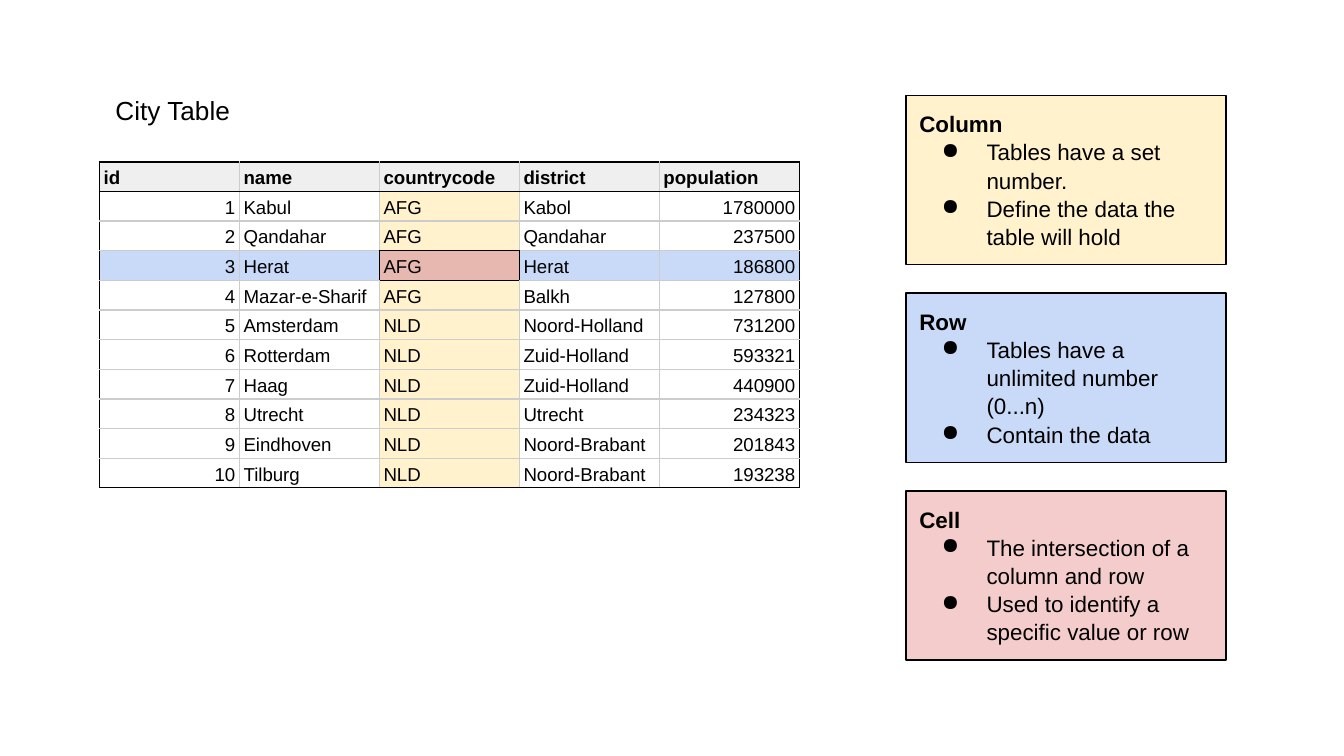
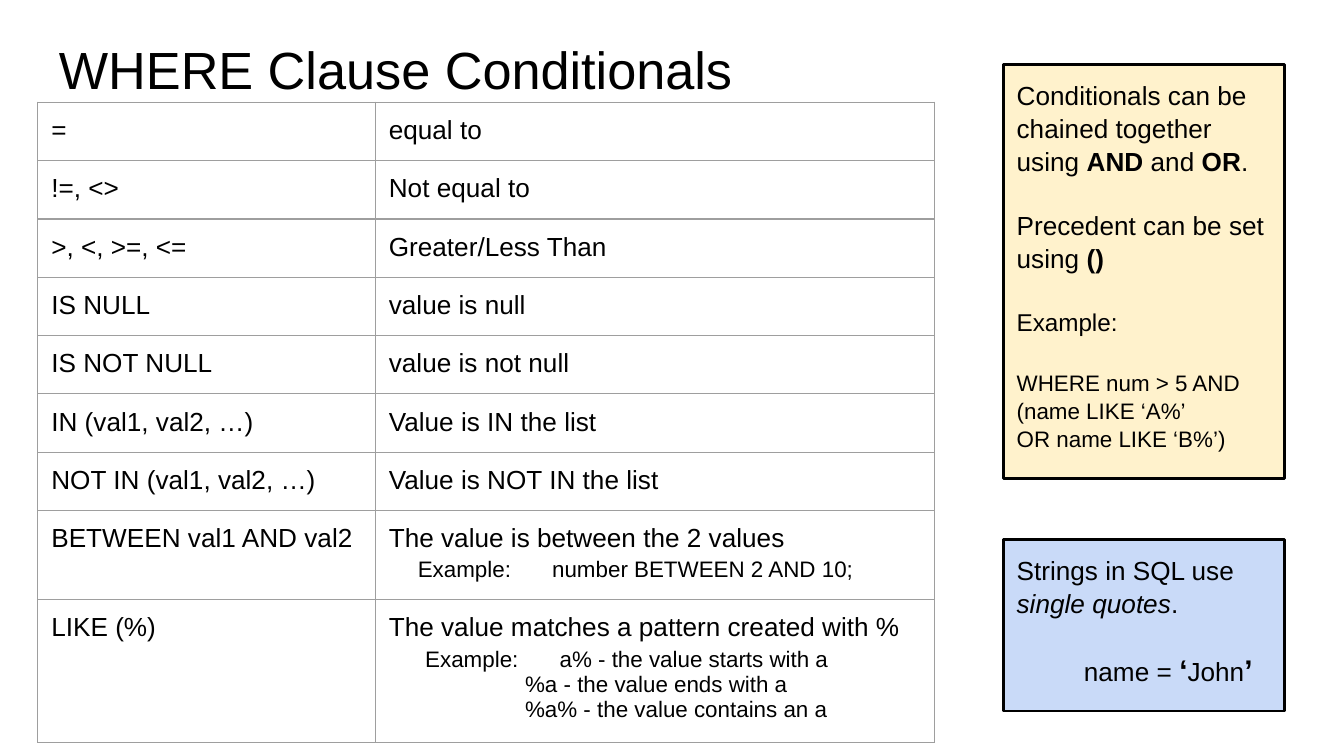
import pptx
import pptx.dml.color
import pptx.enum.shapes
import pptx.enum.text
import pptx.oxml.ns
import pptx.util
import lxml.etree

Pt = pptx.util.Pt
RGB = pptx.dml.color.RGBColor
ALIGN = pptx.enum.text.PP_ALIGN
ANCHOR = pptx.enum.text.MSO_ANCHOR

BLACK = RGB(0x00, 0x00, 0x00)
HEADER_GRAY = RGB(0xEF, 0xEF, 0xEF)
GRID_GRAY = RGB(0xCC, 0xCC, 0xCC)
RULE_GRAY = RGB(0x9E, 0x9E, 0x9E)
YELLOW = RGB(0xFF, 0xF2, 0xCC)
BLUE = RGB(0xC9, 0xDA, 0xF8)
PINK = RGB(0xF4, 0xCC, 0xCC)
ROSE = RGB(0xE6, 0xB8, 0xAF)
FONT = "Arial"
INSET = 7.2
CARD_SPACING = 1.05
BLANK_LINE = 16.9

CITIES = [
    ("id", "name", "countrycode", "district", "population"),
    (1, "Kabul", "AFG", "Kabol", 1780000),
    (2, "Qandahar", "AFG", "Qandahar", 237500),
    (3, "Herat", "AFG", "Herat", 186800),
    (4, "Mazar-e-Sharif", "AFG", "Balkh", 127800),
    (5, "Amsterdam", "NLD", "Noord-Holland", 731200),
    (6, "Rotterdam", "NLD", "Zuid-Holland", 593321),
    (7, "Haag", "NLD", "Zuid-Holland", 440900),
    (8, "Utrecht", "NLD", "Utrecht", 234323),
    (9, "Eindhoven", "NLD", "Noord-Brabant", 201843),
    (10, "Tilburg", "NLD", "Noord-Brabant", 193238),
]
MARKED_ROW, MARKED_COLUMN = 3, 2

TERMS = [
    ("Column", YELLOW, ["Tables have a set number.", "Define the data the table will hold"]),
    ("Row", BLUE, ["Tables have a unlimited number (0...n)", "Contain the data"]),
    ("Cell", PINK, ["The intersection of a column and row",
                    "Used to identify a specific value or row"]),
]

CONDITIONALS = [
    ("=", "equal to", []),
    ("!=, <>", "Not equal to", []),
    (">, <, >=, <=", "Greater/Less Than", []),
    ("IS NULL", "value is null", []),
    ("IS NOT NULL", "value is not null", []),
    ("IN (val1, val2, …)", "Value is IN the list", []),
    ("NOT IN (val1, val2, …)", "Value is NOT IN the list", []),
    ("BETWEEN val1 AND val2", "The value is between the 2 values",
     [(15.5, "Example:\tnumber BETWEEN 2 AND 10;")]),
    ("LIKE (%)", "The value matches a pattern created with %",
     [(19.5, "Example:\ta% - the value starts with a"),
      (73, "%a - the value ends with a"),
      (73, "%a% - the value contains an a")]),
]
CONDITIONAL_HEIGHTS = [30.2] * 7 + [45.5, 73]
EXAMPLE_TAB = 73

CHAINING = [
    {"runs": [("Conditionals can be chained together using ", 14, ""), ("AND ", 14, "b"),
              ("and ", 14, ""), ("OR", 14, "b"), (".", 14, "")]},
    {"runs": [("Precedent can be set using ", 14, ""), ("()", 14, "b")], "before": BLANK_LINE},
    {"runs": [("Example:", 13, "")], "before": BLANK_LINE},
    {"runs": [("WHERE num > 5 AND (name LIKE ‘A%’", 12, "")], "before": BLANK_LINE},
    {"runs": [("OR name LIKE ‘B%’)", 12, "")]},
]
QUOTING = [
    {"runs": [("Strings in SQL use ", 14, ""), ("single quotes", 14, "i"), (".", 14, "")]},
    {"runs": [("name = ", 14, ""), ("‘", 16, "b"), ("John", 14, ""), ("’", 16, "b")],
     "before": BLANK_LINE, "indent": 36},
]


def add_child(parent, tag, **attributes):
    child = lxml.etree.SubElement(parent, pptx.oxml.ns.qn(tag))
    for key, value in attributes.items():
        child.set(key, str(value))
    return child


def write(frame, paragraphs, spacing=1.0):
    frame.word_wrap = True
    for index, content in enumerate(paragraphs):
        paragraph = frame.paragraphs[0] if index == 0 else frame.add_paragraph()
        properties = paragraph._p.get_or_add_pPr()
        properties.set("marL", str(Pt(content.get("margin", 0))))
        properties.set("indent", str(Pt(content.get("indent", 0))))
        if content.get("bullet"):
            color = add_child(properties, "a:buClr")
            add_child(color, "a:srgbClr", val=BLACK)
            add_child(properties, "a:buChar", char="●")
        if "tab" in content:
            stops = add_child(properties, "a:tabLst")
            add_child(stops, "a:tab", pos=Pt(content["tab"]), algn="l")
        paragraph.alignment = content.get("align", ALIGN.LEFT)
        paragraph.line_spacing = spacing
        paragraph.space_before = Pt(content.get("before", 0))
        for text, size, style in content["runs"]:
            run = paragraph.add_run()
            run.text = text
            run.font.name = FONT
            run.font.size = Pt(size)
            run.font.bold = "b" in style
            run.font.italic = "i" in style
            run.font.color.rgb = BLACK


def set_insets(holder, across=INSET, down=INSET):
    holder.margin_left = holder.margin_right = Pt(across)
    holder.margin_top = holder.margin_bottom = Pt(down)


def add_title(slide, text, size, left, top, width, height):
    frame = slide.shapes.add_textbox(Pt(left), Pt(top), Pt(width), Pt(height)).text_frame
    set_insets(frame)
    write(frame, [{"runs": [(text, size, "")]}], CARD_SPACING)


def add_card(slide, left, top, width, height, fill, line_width, paragraphs):
    card = slide.shapes.add_shape(pptx.enum.shapes.MSO_SHAPE.RECTANGLE,
                                  Pt(left), Pt(top), Pt(width), Pt(height))
    card.shadow.inherit = False
    card.fill.solid()
    card.fill.fore_color.rgb = fill
    card.line.color.rgb = BLACK
    card.line.width = Pt(line_width)
    card.text_frame.vertical_anchor = ANCHOR.TOP
    set_insets(card.text_frame)
    write(card.text_frame, paragraphs, CARD_SPACING)


def add_grid(slide, left, top, widths, heights):
    grid = slide.shapes.add_table(len(heights), len(widths), Pt(left), Pt(top),
                                  Pt(sum(widths)), Pt(sum(heights))).table
    grid.first_row = grid.horz_banding = False
    for column, width in zip(grid.columns, widths):
        column.width = Pt(width)
    for row, height in zip(grid.rows, heights):
        row.height = Pt(height)
    return grid


def style_cell(cell, fill, line_width, edges):
    properties = cell._tc.get_or_add_tcPr()
    for side, color in zip("LRTB", edges):
        line = add_child(properties, f"a:ln{side}", w=Pt(line_width))
        add_child(add_child(line, "a:solidFill"), "a:srgbClr", val=color)
    if fill is None:
        cell.fill.background()
    else:
        cell.fill.solid()
        cell.fill.fore_color.rgb = fill


def city_fill(row, column):
    if row == 0:
        return HEADER_GRAY
    if row == MARKED_ROW:
        return ROSE if column == MARKED_COLUMN else BLUE
    return YELLOW if column == MARKED_COLUMN else None


def city_edges(row, column):
    def upright(x):
        marked = row == MARKED_ROW and x in (MARKED_COLUMN, MARKED_COLUMN + 1)
        return BLACK if marked or x in (0, len(CITIES[0])) else GRID_GRAY

    def level(y):
        marked = column == MARKED_COLUMN and y in (MARKED_ROW, MARKED_ROW + 1)
        return BLACK if marked or y in (0, 1, len(CITIES)) else GRID_GRAY

    return upright(column), upright(column + 1), level(row), level(row + 1)


def build_city_slide(slide):
    cities = add_grid(slide, 53.3, 86.7, [75] * 5, [15.9] * len(CITIES))
    for row, values in enumerate(CITIES):
        for column, value in enumerate(values):
            cell = cities.cell(row, column)
            style_cell(cell, city_fill(row, column), 0.83, city_edges(row, column))
            set_insets(cell, 2.25, 1.5)
            cell.vertical_anchor = ANCHOR.BOTTOM
            align = ALIGN.RIGHT if isinstance(value, int) else ALIGN.LEFT
            style = "b" if row == 0 else ""
            write(cell.text_frame, [{"runs": [(str(value), 10, style)], "align": align}], 1.15)
    for index, (term, fill, facts) in enumerate(TERMS):
        paragraphs = [{"runs": [(term, 12, "b")]}]
        paragraphs += [{"runs": [(fact, 12, "")], "bullet": True, "margin": 36, "indent": -24}
                       for fact in facts]
        add_card(slide, 485.4, 51.2 + index * 105.9, 171.4, 90.7, fill, 0.75, paragraphs)
    add_title(slide, "City Table", 14, 54.8, 42.5, 124, 31.5)


def build_conditionals_slide(slide):
    add_title(slide, "WHERE Clause Conditionals", 28, 24.5, 11, 671, 45)
    conditionals = add_grid(slide, 20.3, 54.8, [180.8, 299.5], CONDITIONAL_HEIGHTS)
    for row, (operator, meaning, examples) in enumerate(CONDITIONALS):
        meanings = [{"runs": [(meaning, 14, "")]}]
        meanings += [{"runs": [(text, 12, "")], "margin": margin, "tab": EXAMPLE_TAB,
                      "before": 2.2 if index == 0 else 0}
                     for index, (margin, text) in enumerate(examples)]
        for column, paragraphs in enumerate(([{"runs": [(operator, 14, "")]}], meanings)):
            cell = conditionals.cell(row, column)
            style_cell(cell, None, 0.75, [RULE_GRAY] * 4)
            set_insets(cell)
            write(cell.text_frame, paragraphs)
    add_card(slide, 537.6, 34.5, 150.7, 221.7, YELLOW, 1.5, CHAINING)
    add_card(slide, 537.6, 289, 150.7, 92, BLUE, 1.5, QUOTING)


def main():
    deck = pptx.Presentation()
    deck.slide_width, deck.slide_height = Pt(720), Pt(405)
    for build in (build_city_slide, build_conditionals_slide):
        build(deck.slides.add_slide(deck.slide_layouts[6]))
    deck.save("out.pptx")


if __name__ == "__main__":
    main()
